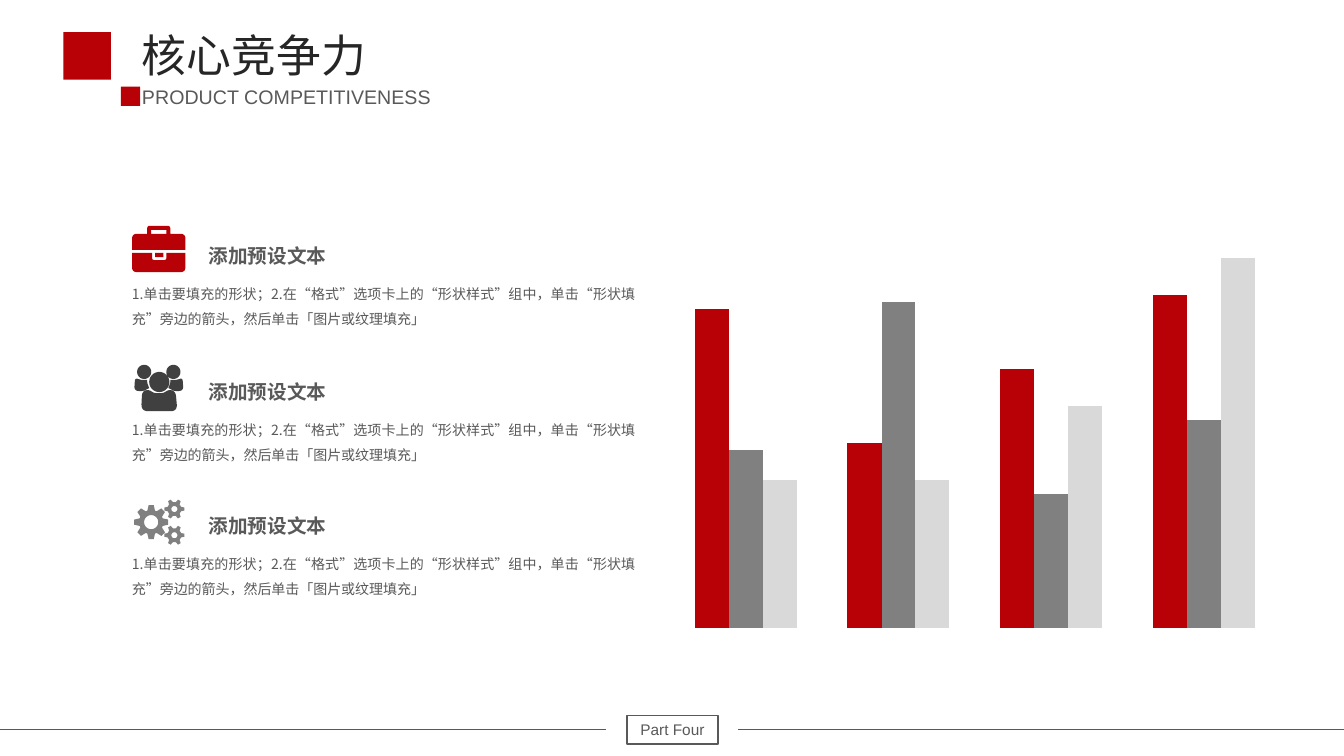
from dataclasses import dataclass
from math import cos, dist, pi, sin
from typing import Any, NamedTuple

from lxml import etree
from pptx import Presentation
from pptx import util as u
from pptx.chart import data as cd
from pptx.dml import color as col
from pptx.enum import chart as ec, shapes as es, text as et
from pptx.oxml import ns

Point = tuple[float, float]
Path = list[Point]


@dataclass(frozen=True)
class Theme:
    red: str = "B80106"
    dark: str = "404040"
    gray: str = "808080"
    pale: str = "D9D9D9"
    ink: str = "262626"
    soft: str = "595959"
    latin: str = "Arial"
    head: str = "Roboto Condensed"
    cjk: str = "Noto Sans CJK SC"
    title: int = 32
    sub: int = 14
    tag: int = 11
    body: int = 10


class Box(NamedTuple):
    x: float
    y: float
    w: float
    h: float


class Style(NamedTuple):
    size: int
    font: str
    color: str
    bold: bool = False
    lead: float = 1.0
    align: Any = et.PP_ALIGN.LEFT
    wrap: bool = True


class Item(NamedTuple):
    top: float
    color: str
    icon: list[Path]


T = Theme()
HEAD = Style(T.sub, T.head, T.soft, True, 1.3, wrap=False)
BODY = Style(T.body, T.cjk, T.soft, lead=1.5, align=et.PP_ALIGN.JUSTIFY)
TITLE = Style(T.title, T.cjk, T.ink)
SUB = Style(T.sub, T.latin, T.soft, wrap=False)
TAG = Style(T.tag, T.latin, T.soft, align=et.PP_ALIGN.CENTER)
NOTE = ("1.单击要填充的形状；2.在“格式”选项卡上的“形状样式”组中，"
        "单击“形状填充”旁边的箭头，然后单击「图片或纹理填充」")


def rgb(code: str) -> col.RGBColor:
    return col.RGBColor.from_string(code)


def put(obj: Any, form: dict[str, Any]) -> None:
    for key, val in form.items():
        setattr(obj, key, val)


def paint(shape: Any, fill: str | None = None) -> None:
    """Fill a shape flat, or leave it hollow, without line or shadow."""
    shape.shadow.inherit = False
    shape.line.fill.background()
    if fill:
        shape.fill.solid()
        shape.fill.fore_color.rgb = rgb(fill)
    else:
        shape.fill.background()


def write(frame: Any, words: str, st: Style) -> None:
    frame.word_wrap = st.wrap
    para = frame.paragraphs[0]
    put(para, {"alignment": st.align, "line_spacing": st.lead})
    run = para.add_run()
    run.text = words
    put(run.font, {"size": u.Pt(st.size), "name": st.font, "bold": st.bold})
    run.font.color.rgb = rgb(st.color)
    etree.SubElement(run.font._element, ns.qn("a:ea"), typeface=T.cjk)


def label(shapes: Any, box: Box, words: str, st: Style) -> None:
    frame = shapes.add_textbox(*map(u.Inches, box)).text_frame
    write(frame, words, st)
    frame.auto_size = et.MSO_AUTO_SIZE.SHAPE_TO_FIT_TEXT


def rect(shapes: Any, box: Box, fill: str | None = None) -> Any:
    shape = shapes.add_shape(es.MSO_SHAPE.RECTANGLE, *map(u.Inches, box))
    paint(shape, fill)
    return shape


def rule(shapes: Any, left: float, right: float, y: float) -> None:
    ends = map(u.Inches, (left, y, right, y))
    line = shapes.add_connector(es.MSO_CONNECTOR.STRAIGHT, *ends)
    line.line.width = u.Pt(0.5)
    line.line.color.rgb = rgb(T.soft)
    etree.SubElement(line._element.spPr, ns.qn("a:effectLst"))


def bend(*nodes: tuple[float, float, float]) -> Path:
    """Trace a polygon of (x, y, radius) nodes with rounded corners."""
    path = []
    for i, (x, y, r) in enumerate(nodes):
        ends = []
        for px, py, _ in (nodes[i - 1], nodes[(i + 1) % len(nodes)]):
            k = r / dist((x, y), (px, py))
            ends.append((x + k * (px - x), y + k * (py - y)))
        (ax, ay), (bx, by) = ends
        for n in range(7 if r else 1):
            t = n / 6
            a, m, b = (1 - t) ** 2, 2 * t * (1 - t), t * t
            path.append((a * ax + m * x + b * bx, a * ay + m * y + b * by))
    return path


def frame(x: float, y: float, w: float, h: float) -> Path:
    return [(x, y), (x + w, y), (x + w, y + h), (x, y + h)]


def polar(x: float, y: float, r: float, a: float) -> Point:
    return x + r * cos(a), y + r * sin(a)


def disc(x: float, y: float, r: float) -> Path:
    return [polar(x, y, r, n * pi / 20) for n in range(40)]


def gear(x: float, y: float, teeth: int, tip: float, root: float,
         hole: float) -> list[Path]:
    edge = ((root, -0.32), (tip, -0.15), (tip, 0.15), (root, 0.32))
    rim = [polar(x, y, r, 2 * pi * n / teeth + a)
           for n in range(teeth) for r, a in edge]
    return [rim, disc(x, y, hole)]


def case() -> list[Path]:
    lid = bend((1.31, 2.48, 0), (1.31, 2.32, 0.05), (1.46, 2.32, 0),
               (1.46, 2.24, 0.03), (1.69, 2.24, 0.03), (1.69, 2.32, 0),
               (1.84, 2.32, 0.05), (1.84, 2.48, 0))
    base = bend((1.31, 2.51, 0), (1.51, 2.51, 0), (1.51, 2.58, 0.02),
                (1.65, 2.58, 0.02), (1.65, 2.51, 0), (1.84, 2.51, 0),
                (1.84, 2.7, 0.05), (1.31, 2.7, 0.05))
    return [lid, frame(1.5, 2.28, 0.15, 0.04), base,
            frame(1.54, 2.51, 0.08, 0.04)]


def team() -> list[Path]:
    side = bend((1.33, 3.88, 0.05), (1.34, 3.75, 0.03), (1.4, 3.77, 0.02),
                (1.46, 3.77, 0), (1.46, 3.8, 0.02), (1.48, 3.85, 0),
                (1.42, 3.88, 0.02))
    torso = bend((1.4, 4.08, 0.07), (1.41, 3.87, 0.06), (1.48, 3.87, 0.02),
                 (1.53, 3.9, 0.02), (1.62, 3.9, 0.02), (1.67, 3.87, 0.02),
                 (1.74, 3.87, 0.06), (1.76, 4.08, 0.07))
    left = [side, disc(1.43, 3.69, 0.07)]
    right = [[(3.15 - x, y) for x, y in path] for path in left]
    return [*left, *right, torso, disc(1.58, 3.79, 0.1)]


def gears() -> list[Path]:
    small = [path for y in (5.05, 5.31)
             for path in gear(1.73, y, 6, 0.1, 0.07, 0.03)]
    return gear(1.5, 5.18, 8, 0.17, 0.12, 0.07) + small


def icon(shapes: Any, paths: list[Path], fill: str) -> None:
    first, *rest = [[(u.Inches(x), u.Inches(y)) for x, y in path]
                    for path in paths]
    pen = shapes.build_freeform(*first[0])
    pen.add_line_segments(first[1:], close=True)
    for path in rest:
        pen.move_to(*path[0])
        pen.add_line_segments(path[1:], close=True)
    paint(pen.convert_to_shape(), fill)


def bars(shapes: Any, box: Box) -> None:
    data = cd.CategoryChartData()
    data.categories = ["1", "2", "3", "4"]
    rows = ((86, 50, 70, 90), (48, 88, 36, 56), (40, 40, 60, 100))
    for n, row in enumerate(rows, 1):
        data.add_series(f"Series {n}", row)
    kind = ec.XL_CHART_TYPE.COLUMN_CLUSTERED
    chart = shapes.add_chart(kind, *map(u.Inches, box), data).chart
    put(chart, {"has_legend": False, "has_title": False})
    put(chart.font, {"size": u.Pt(T.body), "name": T.latin})
    chart.font.color.rgb = rgb("000000")
    put(chart.value_axis, {"visible": False, "has_major_gridlines": False,
                           "minimum_scale": 0, "maximum_scale": 120})
    chart.category_axis.visible = False
    plot = chart.plots[0]
    put(plot, {"gap_width": 150, "overlap": 0, "vary_by_categories": False})
    for line, tone in zip(plot.series, (T.red, T.gray, T.pale)):
        line.format.fill.solid()
        line.format.fill.fore_color.rgb = rgb(tone)


def foot(shapes: Any) -> None:
    group = shapes.add_group_shape().shapes
    tag = rect(group, Box(6.22, 7.1, 0.9, 0.28))
    tag.line.width = u.Pt(1)
    tag.line.color.rgb = rgb(T.soft)
    write(tag.text_frame, "Part Four", TAG)
    tag.text_frame.vertical_anchor = et.MSO_ANCHOR.MIDDLE
    for left, right in ((0, 6.01), (7.32, 13.33)):
        rule(group, left, right, 7.24)


def main() -> None:
    deck = Presentation()
    put(deck, {"slide_width": u.Inches(13.33), "slide_height": u.Inches(7.5)})
    shapes = deck.slides.add_slide(deck.slide_layouts[6]).shapes
    bars(shapes, Box(6.51, 1.73, 6.32, 4.59))
    for item in (Item(2.3, T.red, case()), Item(3.65, T.dark, team()),
                 Item(4.98, T.gray, gears())):
        icon(shapes, item.icon, item.color)
        label(shapes, Box(1.97, item.top, 1.38, 0.38), "添加预设文本", HEAD)
        label(shapes, Box(1.21, item.top + 0.4, 5.19, 0.62), NOTE, BODY)
    label(shapes, Box(1.31, 0.23, 3.01, 0.64), "核心竞争力", TITLE)
    for box in (Box(0.63, 0.32, 0.47, 0.47), Box(1.2, 0.86, 0.19, 0.19)):
        rect(shapes, box, T.red)
    label(shapes, Box(1.31, 0.79, 3.09, 0.34), "PRODUCT COMPETITIVENESS", SUB)
    foot(shapes)
    deck.save("out.pptx")


if __name__ == "__main__":
    main()
